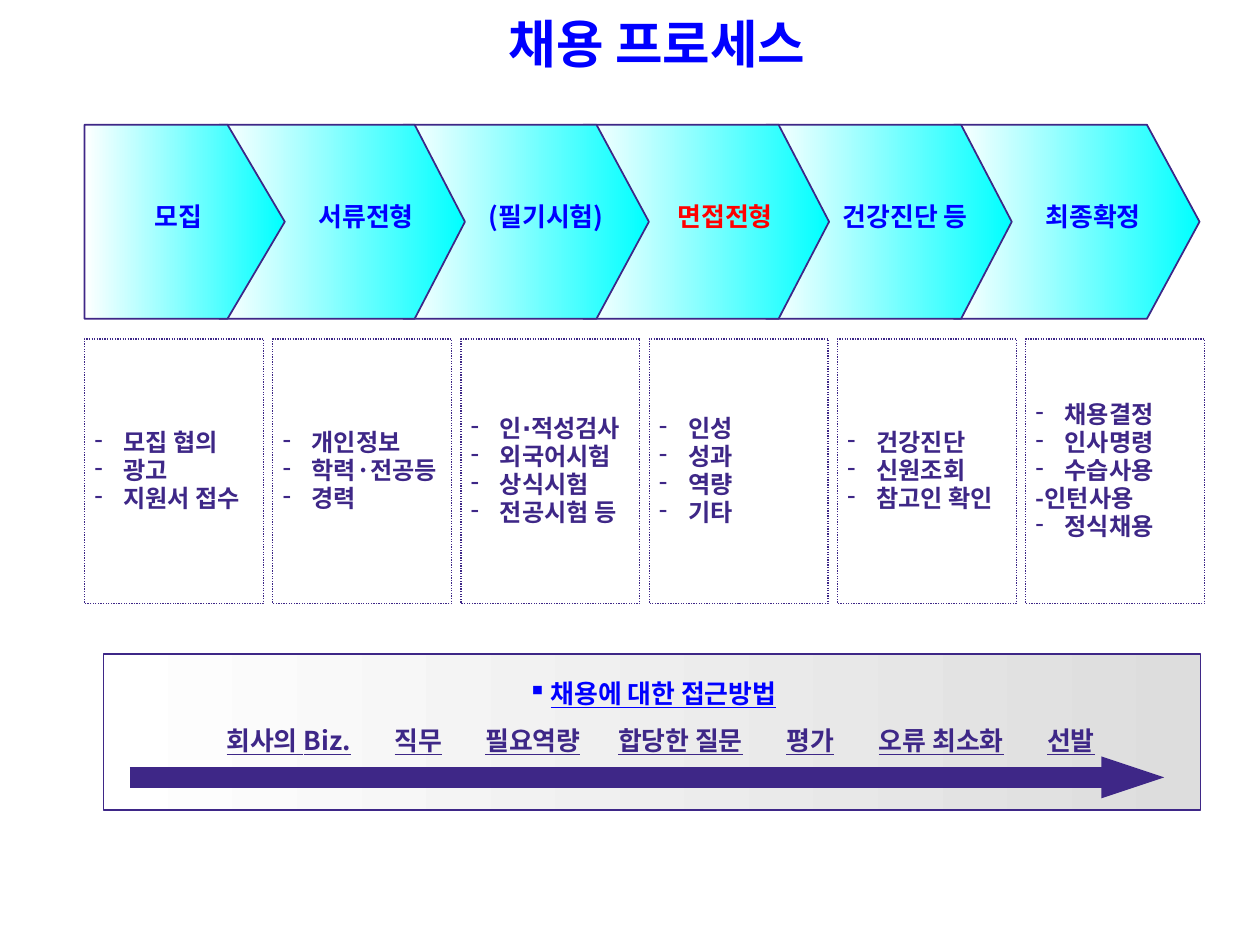
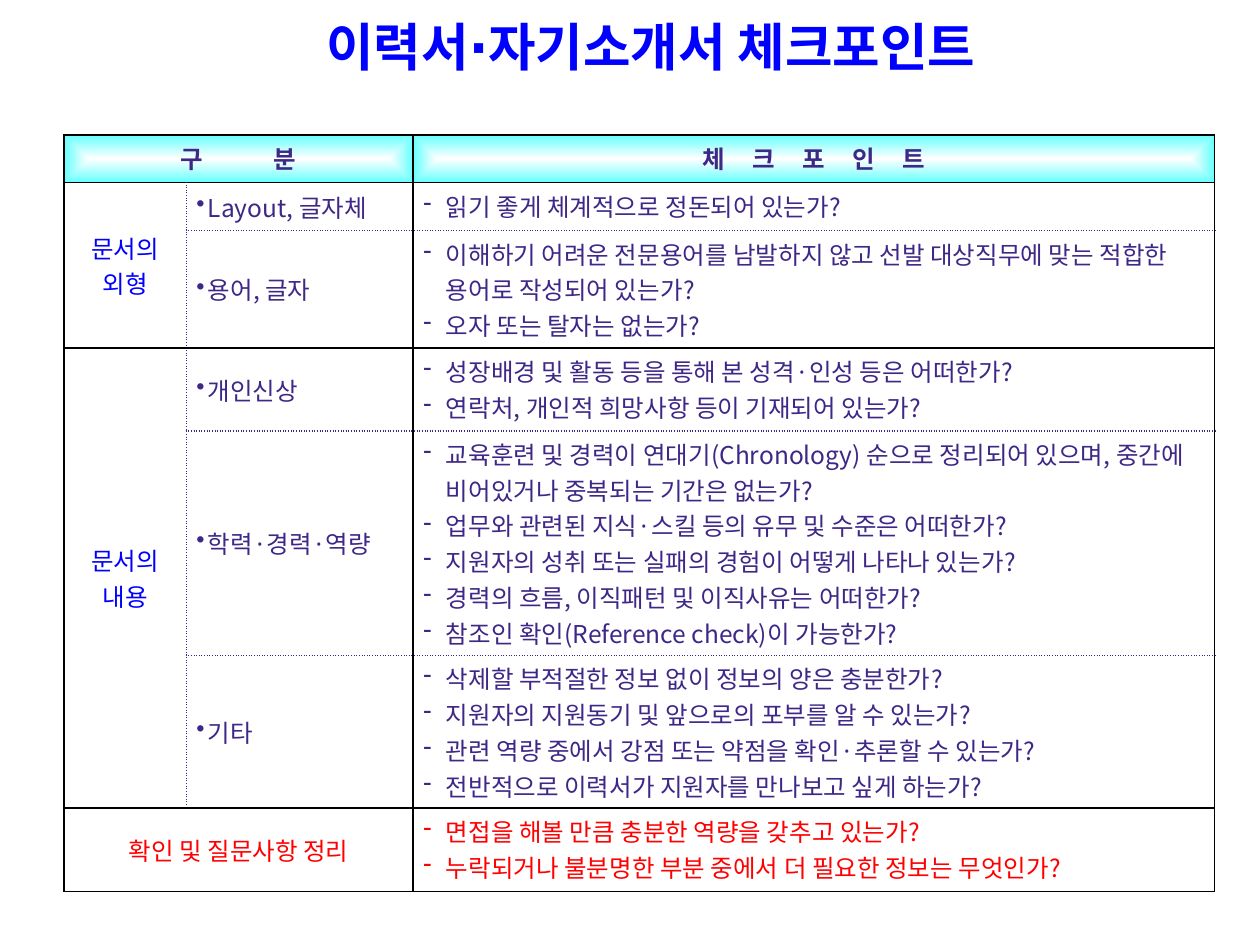
from lxml import etree
from pptx import Presentation
from pptx.dml.color import RGBColor
from pptx.enum.dml import MSO_LINE
from pptx.enum.shapes import MSO_CONNECTOR, MSO_SHAPE
from pptx.enum.text import MSO_ANCHOR, PP_ALIGN
from pptx.oxml.ns import qn
from pptx.util import Inches, Pt

INK, BLUE, RED, BLACK, WHITE = "3E2787", "0000FF", "FF0000", "000000", "FFFFFF"
CYAN, PALE_CYAN, GREY = "00FFFF", "66FFFF", "DDDDDD"
BODY_FONT, TITLE_FONT = "Noto Sans CJK KR", "Arial"
PLAIN_TABLE = "{2D5ABB26-0587-4C30-8999-92F81FD0307C}"

STAGES = [
    ("모집", BLUE, 0.67, 1.59, 0.295, 0.74, ["모집 협의", "광고", "지원서 접수"]),
    ("서류전형", BLUE, 1.74, 1.95, 0.259, 2.23, ["개인정보", "학력·전공등", "경력"]),
    ("(필기시험)", BLUE, 3.2, 1.95, 0.27, 3.66,
     ["인∙적성검사", "외국어시험", "상식시험", "전공시험 등"]),
    ("면접전형", RED, 4.63, 1.95, 0.26, 5.08, ["인성", "성과", "역량", "기타"]),
    ("건강진단 등", BLUE, 6.08, 1.95, 0.261, 6.51, ["건강진단", "신원조회", "참고인 확인"]),
    ("최종확정", BLUE, 7.57, 1.95, 0.271, 8.0,
     ["채용결정", "인사명령", "수습사용", "-인턴사용", "정식채용"]),
]
APPROACH = [("회사의 Biz.", 1.39), ("직무", 2.42), ("필요역량", 3.33), ("합당한 질문", 4.5),
            ("평가", 5.53), ("오류 최소화", 6.57), ("선발", 7.6)]

HEADINGS = [(0, "구 분", 18.5), (2, "체 크 포 인 트", 6.3)]
GROUPS = [(1, 2, ["문서의", "외형"]), (3, 5, ["문서의", "내용"])]
CHECKS = [
    ("Layout, 글자체", ["읽기 좋게 체계적으로 정돈되어 있는가?"]),
    ("용어, 글자", [
        "이해하기 어려운 전문용어를 남발하지 않고 선발 대상직무에 맞는 적합한 용어로 작성되어 있는가?",
        "오자 또는 탈자는 없는가?"]),
    ("개인신상", [
        "성장배경 및 활동 등을 통해 본 성격·인성 등은 어떠한가?",
        "연락처, 개인적 희망사항 등이 기재되어 있는가?"]),
    ("학력·경력·역량", [
        "교육훈련 및 경력이 연대기(Chronology) 순으로 정리되어 있으며, 중간에 비어있거나 중복되는 기간은 없는가?",
        "업무와 관련된 지식·스킬 등의 유무 및 수준은 어떠한가?",
        "지원자의 성취 또는 실패의 경험이 어떻게 나타나 있는가?",
        "경력의 흐름, 이직패턴 및 이직사유는 어떠한가?",
        "참조인 확인(Reference check)이 가능한가?"]),
    ("기타", [
        "삭제할 부적절한 정보 없이 정보의 양은 충분한가?",
        "지원자의 지원동기 및 앞으로의 포부를 알 수 있는가?",
        "관련 역량 중에서 강점 또는 약점을 확인·추론할 수 있는가?",
        "전반적으로 이력서가 지원자를 만나보고 싶게 하는가?"]),
]
FINAL_CHECKS = ["면접을 해볼 만큼 충분한 역량을 갖추고 있는가?",
                "누락되거나 불분명한 부분 중에서 더 필요한 정보는 무엇인가?"]


def rgb(value):
    """Turn a hex string into a colour."""
    return RGBColor.from_string(value)


def add_xml(parent, tag, **attributes):
    """Append a drawing element to a parent."""
    return etree.SubElement(parent, qn(tag), {key: str(value) for key, value in attributes.items()})


def blend(fill, start, end):
    """Fill with a left-to-right gradient."""
    fill.gradient()
    fill.gradient_angle = 0
    for stop, color, position in zip(fill.gradient_stops, (start, end), (0, 1)):
        stop.color.rgb = rgb(color)
        stop.position = position


def set_bullet(para, mark, indent):
    """Give a paragraph a hanging bullet."""
    props = para._p.get_or_add_pPr()
    props.set("marL", str(Inches(indent)))
    props.set("indent", str(-Inches(indent)))
    add_xml(props, "a:buChar", char=mark)


def style(para, size, color, bold=False, align=PP_ALIGN.LEFT, spacing=1.0, font=BODY_FONT):
    """Set the font and layout of a paragraph."""
    para.alignment = align
    para.line_spacing = spacing
    para.font.size = Pt(size)
    para.font.bold = bold
    para.font.color.rgb = rgb(color)
    para.font.name = font
    add_xml(para._p.pPr.find(qn("a:defRPr")), "a:ea", typeface=BODY_FONT)


def write(frame, lines, size, color, mark=None, indent=0.0, **look):
    """Fill a text frame with one paragraph per line."""
    for index, line in enumerate(lines):
        para = frame.add_paragraph() if index else frame.paragraphs[0]
        para.text = line
        if mark and not line.startswith(mark):
            set_bullet(para, mark, indent)
        style(para, size, color, **look)


def pad(holder):
    """Set the narrow margins that frames and cells share."""
    holder.margin_left = holder.margin_right = Inches(0.08)
    holder.margin_top = holder.margin_bottom = Inches(0.04)


def add_label(page, box, text, size, color, **look):
    """Add a bold centred text box."""
    frame = page.shapes.add_textbox(*map(Inches, box)).text_frame
    frame.word_wrap = True
    pad(frame)
    write(frame, [text], size, color, bold=True, align=PP_ALIGN.CENTER, **look)


def add_title(page, left, top, text):
    """Add the slide title."""
    add_label(page, (left, top, 8.37, 0.52), text, 29.5, BLUE, spacing=0.9, font=TITLE_FONT)


def add_outline(page, kind, box, width):
    """Add a shape with an ink outline and no fill."""
    shape = page.shapes.add_shape(kind, *map(Inches, box))
    shape.shadow.inherit = False
    shape.fill.background()
    shape.line.color.rgb = rgb(INK)
    shape.line.width = Pt(width)
    pad(shape.text_frame)
    shape.text_frame.vertical_anchor = MSO_ANCHOR.MIDDLE
    return shape


def add_stages(page, top):
    """Add the overlapping stage arrows and their labels."""
    for _, _, left, width, point, _, _ in reversed(STAGES):
        arrow = add_outline(page, MSO_SHAPE.PENTAGON, (left, top, width, 1.54), 1)
        arrow.adjustments[0] = point
        blend(arrow.fill, WHITE, CYAN)
    for name, color, _, _, _, left, _ in STAGES:
        add_label(page, (left, top + 0.56, 1.35, 0.41), name, 14.8, color)


def add_details(page, left, top):
    """Add the dotted box of tasks under each stage."""
    for index, stage in enumerate(STAGES):
        box = (left + index * 1.494, top, 1.42, 2.1)
        card = add_outline(page, MSO_SHAPE.RECTANGLE, box, 0.75)
        card.line.dash_style = MSO_LINE.ROUND_DOT
        card.text_frame.word_wrap = False
        write(card.text_frame, stage[-1], 13.8, INK, mark="-", indent=0.23, bold=True, spacing=0.97)


def add_approach(page, left, top):
    """Add the approach panel with its long arrow."""
    panel = add_outline(page, MSO_SHAPE.RECTANGLE, (left, top, 8.71, 1.24), 0.75)
    blend(panel.fill, WHITE, GREY)
    frame = panel.text_frame
    frame.word_wrap = True
    frame.margin_bottom = Inches(0.41)
    write(frame, ["채용에 대한 접근방법"], 14.8, BLUE, mark="▪", indent=0.18,
          bold=True, align=PP_ALIGN.CENTER, spacing=1.5)
    frame.paragraphs[0].font.underline = True

    para = frame.add_paragraph()
    tabs = add_xml(para._p.get_or_add_pPr(), "a:tabLst")
    for text, center in APPROACH:
        add_xml(tabs, "a:tab", pos=Inches(center), algn="ctr")
        para.add_run().text = "\t"
        span = para.add_run()
        span.text = text
        span.font.underline = True
    style(para, 14.8, INK, bold=True, spacing=1.5)

    height = Inches(top + 0.98)
    arrow = page.shapes.add_connector(
        MSO_CONNECTOR.STRAIGHT, Inches(left + 0.21), height, Inches(left + 8.42), height)
    arrow.line.color.rgb = rgb(INK)
    arrow.line.width = Pt(12)
    add_xml(arrow.line._get_or_add_ln(), "a:tailEnd", type="triangle", w="sm", len="med")
    add_xml(arrow._element.spPr, "a:effectLst")


def set_borders(cell, row, column):
    """Draw solid group borders and dotted inner ones."""
    inner = 1 <= row <= 5
    dotted = {"L": inner and column == 1, "R": inner and column == 0,
              "T": column and row in (2, 4, 5), "B": column and row in (1, 3, 4)}
    for side, dots in dotted.items():
        line = add_xml(cell._tc.get_or_add_tcPr(), "a:ln" + side, w=Pt(1))
        add_xml(add_xml(line, "a:solidFill"), "a:srgbClr", val=INK if dots else BLACK)
        add_xml(line, "a:prstDash", val="sysDot" if dots else "solid")


def fill_heading(cell, text, gap):
    """Write a letter-spaced heading on a glowing cell."""
    blend(cell.fill, WHITE, PALE_CYAN)
    glow = cell._tc.tcPr.find(qn("a:gradFill"))
    glow.remove(glow.find(qn("a:lin")))
    add_xml(add_xml(glow, "a:path", path="shape"), "a:fillToRect", l=50000, t=50000, r=50000, b=50000)
    para = cell.text_frame.paragraphs[0]
    for part, spacing in ((text[:-1], gap), (text[-1], 0)):
        span = para.add_run()
        span.text = part
        span._r.get_or_add_rPr().set("spc", str(int(spacing * 100)))
    style(para, 14, INK, bold=True, align=PP_ALIGN.CENTER)


def add_checklist(page, left, top):
    """Add the checkpoint table."""
    widths = [0.97, 1.8, 6.36]
    heights = [0.38, 0.38, 0.93, 0.66, 1.77, 1.21, 0.66]
    box = (left, top, sum(widths), sum(heights))
    table = page.shapes.add_table(len(heights), len(widths), *map(Inches, box)).table
    table.first_row = table.horz_banding = False
    table._tbl.tblPr.find(qn("a:tableStyleId")).text = PLAIN_TABLE
    for column, width in zip(table.columns, widths):
        column.width = Inches(width)
    for row, height in zip(table.rows, heights):
        row.height = Inches(height)

    last = len(heights) - 1
    for row in (0, last):
        table.cell(row, 0).merge(table.cell(row, 1))
    for first, final, _ in GROUPS:
        table.cell(first, 0).merge(table.cell(final, 0))
    for row in range(len(heights)):
        for column in range(len(widths)):
            cell = table.cell(row, column)
            if cell.is_spanned:
                continue
            pad(cell)
            set_borders(cell, row, column)
            cell.fill.solid()
            cell.fill.fore_color.rgb = rgb(WHITE)
            if row and column < 2:
                cell.vertical_anchor = MSO_ANCHOR.MIDDLE

    for column, text, gap in HEADINGS:
        fill_heading(table.cell(0, column), text, gap)
    for first, _, lines in GROUPS:
        write(table.cell(first, 0).text_frame, lines, 14, BLUE, align=PP_ALIGN.CENTER)
    for row, (topic, questions) in enumerate(CHECKS, 1):
        write(table.cell(row, 1).text_frame, [topic], 14, INK, mark="•", indent=0.09)
        write(table.cell(row, 2).text_frame, questions, 14, INK, mark="-", indent=0.18)
    write(table.cell(last, 0).text_frame, ["확인 및 질문사항 정리"], 14, RED, align=PP_ALIGN.CENTER)
    write(table.cell(last, 2).text_frame, FINAL_CHECKS, 14, RED, mark="-", indent=0.18)


def build_process(page):
    """Build the hiring process slide."""
    add_title(page, 1.03, 0.11, "채용 프로세스")
    add_stages(page, 0.99)
    add_details(page, 0.67, 2.69)
    add_approach(page, 0.82, 5.19)


def build_checkpoints(page):
    """Build the document checkpoint slide."""
    add_checklist(page, 0.51, 1.07)
    add_title(page, 0.98, 0.13, "이력서∙자기소개서 체크포인트")


def main():
    """Build and save the deck."""
    deck = Presentation()
    deck.slide_width, deck.slide_height = Inches(10), Inches(7.5)
    for build in (build_process, build_checkpoints):
        build(deck.slides.add_slide(deck.slide_layouts[6]))
    deck.save("out.pptx")


if __name__ == "__main__":
    main()
